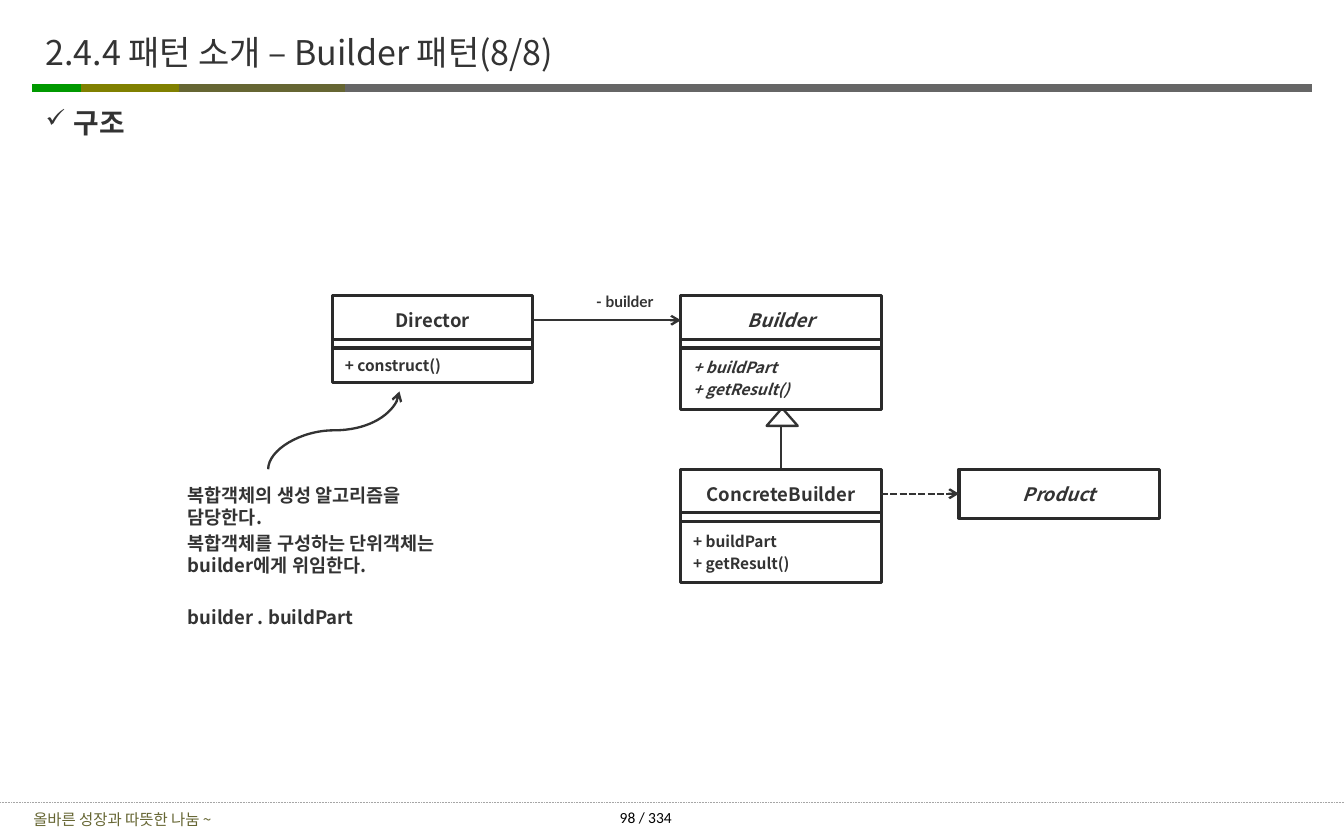
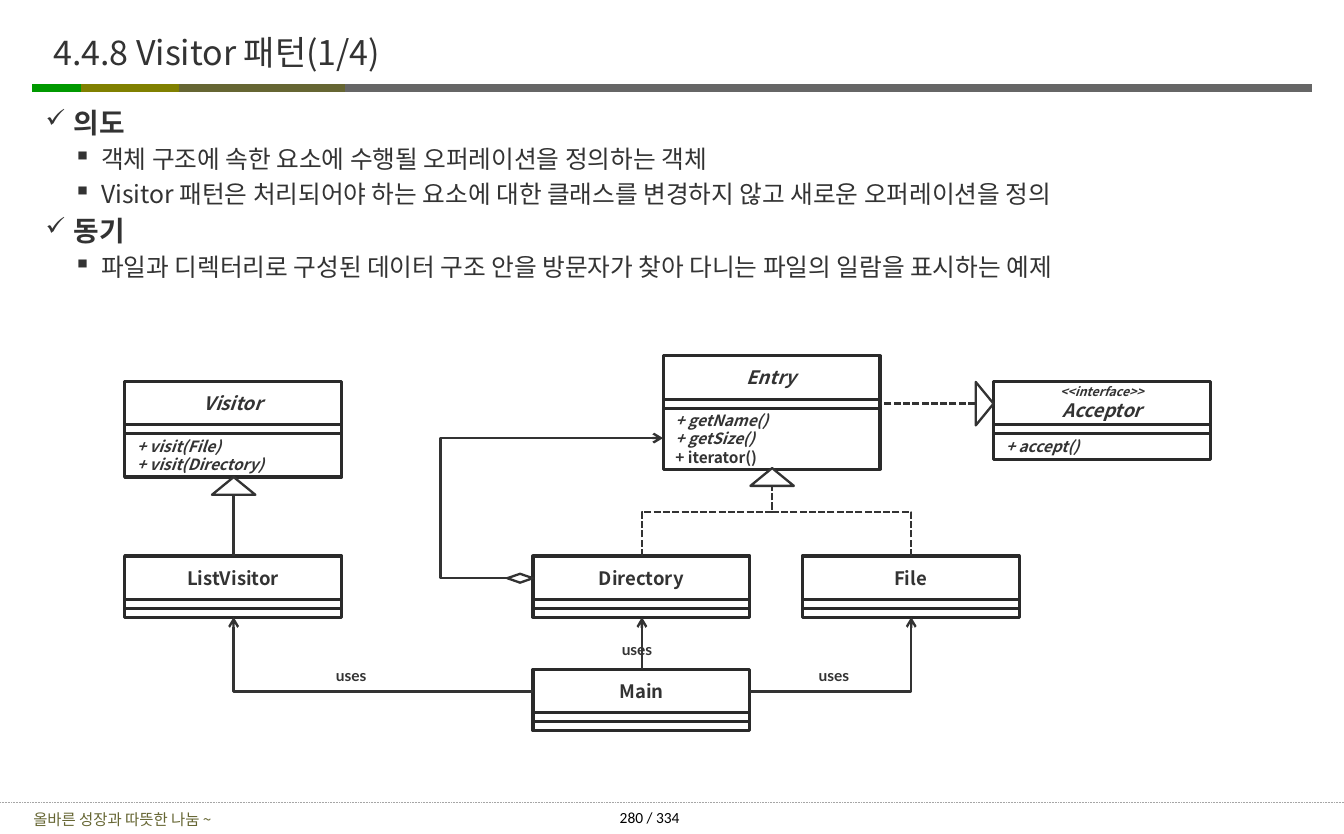
from lxml import etree
from pptx import Presentation
from pptx import util as u
from pptx.dml.color import RGBColor
from pptx.enum import dml, shapes, text
from pptx.oxml.ns import qn

WHITE = RGBColor(0xFF, 0xFF, 0xFF)
BLACK = RGBColor(0x00, 0x00, 0x00)
INK = RGBColor(0x33, 0x33, 0x33)
FRAME = RGBColor(0x2A, 0x2A, 0x2A)
GRAY = RGBColor(0x66, 0x66, 0x66)
LIGHT_GRAY = RGBColor(0xA6, 0xA6, 0xA6)
GREEN = RGBColor(0x00, 0x99, 0x00)
OLIVE = RGBColor(0x80, 0x80, 0x00)
MOSS = RGBColor(0x66, 0x66, 0x33)

KOREAN = "Noto Sans CJK KR"
BAND = [(2.98, 11.79, GRAY), (0.29, 1.09, GREEN), (0.73, 1.66, OLIVE), (1.61, 3.1, MOSS)]
PAGES = 334
LEFT, CENTER = text.PP_ALIGN.LEFT, text.PP_ALIGN.CENTER
TOP, MIDDLE = text.MSO_ANCHOR.TOP, text.MSO_ANCHOR.MIDDLE
STRAIGHT, ELBOW, CURVE = (
    shapes.MSO_CONNECTOR.STRAIGHT,
    shapes.MSO_CONNECTOR.ELBOW,
    shapes.MSO_CONNECTOR.CURVE,
)


def add_bullet(paragraph, mark, percent, level):
    properties = paragraph._p.get_or_add_pPr()
    properties.set("marL", str(u.Inches(0.25 * (level + 1))))
    properties.set("indent", str(u.Inches(-0.25)))
    color = etree.SubElement(properties, qn("a:buClr"))
    etree.SubElement(color, qn("a:srgbClr")).set("val", str(INK))
    etree.SubElement(properties, qn("a:buSzPct")).set("val", str(percent * 1000))
    etree.SubElement(properties, qn("a:buChar")).set("char", mark)


def add_paragraph(frame, content, first, size=12, font=KOREAN, color=INK, bold=False,
                  italic=False, align=LEFT, gap=0.2, bullet=None):
    paragraph = frame.paragraphs[0] if first else frame.add_paragraph()
    if bullet:
        add_bullet(paragraph, *bullet)
    paragraph.alignment = align
    paragraph.line_spacing = u.Pt(1.2 * size)
    paragraph.space_before = u.Pt(0 if first else gap * size)
    run = paragraph.add_run()
    run.text = content
    run.font.size = u.Pt(size)
    run.font.name = font
    run.font.bold = bold
    run.font.italic = italic
    run.font.color.rgb = color
    east_asian = etree.SubElement(run._r.get_or_add_rPr(), qn("a:ea"))
    east_asian.set("typeface", font)


def write(frame, lines, inset=(0.1, 0.05), anchor=TOP, wrap=True, **style):
    frame.word_wrap = wrap
    frame.vertical_anchor = anchor
    frame.margin_left = frame.margin_right = u.Inches(inset[0])
    frame.margin_top = frame.margin_bottom = u.Inches(inset[1])
    for index, line in enumerate(lines):
        content, changes = line if isinstance(line, tuple) else (line, {})
        add_paragraph(frame, content, index == 0, **{**style, **changes})


class Deck:
    def __init__(self):
        self.presentation = Presentation()
        self.presentation.slide_width = u.Inches(12.08)
        self.presentation.slide_height = u.Inches(7.5)
        self.slide = None

    def new_slide(self, title, page, title_inset):
        self.slide = self.presentation.slides.add_slide(self.presentation.slide_layouts[6])
        for start, end, color in BAND:
            self.line((start, 0.79), (end, 0.79), color=color, width=5)
        self.line((0, 7.22), (12.08, 7.22), color=LIGHT_GRAY, width=0.5,
                  dash=dml.MSO_LINE.ROUND_DOT)
        self.label(["올바른 성장과 따뜻한 나눔 ~"], 0, 7.24, 2.2, 0.26, size=10, color=MOSS,
                   align=CENTER, anchor=MIDDLE)
        self.label([f"{page} / {PAGES}"], 5.53, 7.22, 0.95, 0.27, size=10, font="Calibri",
                   color=BLACK, inset=(0.04, 0.05))
        self.label([title], 0.37, 0.15, 10, 0.63, size=22, anchor=MIDDLE, inset=title_inset)

    def label(self, lines, left, top, width, height, **style):
        box = self.slide.shapes.add_textbox(*map(u.Inches, (left, top, width, height)))
        write(box.text_frame, lines, **style)

    def outline(self, topics):
        lines = []
        for heading, items in topics:
            lines.append((heading, {"size": 18, "bold": True, "bullet": ("✓", 90, 0)}))
            lines += [(item, {"size": 16, "bullet": ("▪", 100, 1)}) for item in items]
        self.label(lines, 0.37, 0.91, 11.5, 1.23, inset=(0.04, 0.04))

    def shape(self, kind, left, top, width, height, color=INK, weight=1.5, rotation=0):
        shape = self.slide.shapes.add_shape(kind, *map(u.Inches, (left, top, width, height)))
        shape.shadow.inherit = False
        shape.fill.solid()
        shape.fill.fore_color.rgb = WHITE
        shape.line.color.rgb = color
        shape.line.width = u.Pt(weight)
        shape.rotation = rotation
        return shape

    def triangle(self, center, top, width=0.39, rotation=0):
        self.shape(shapes.MSO_SHAPE.ISOSCELES_TRIANGLE, center - width / 2, top, width, 0.16,
                   rotation=rotation)

    def cell(self, lines, left, top, width, height, **style):
        shape = self.shape(shapes.MSO_SHAPE.RECTANGLE, left, top, width, height, FRAME, 2)
        write(shape.text_frame, lines, inset=(0.11, 0.05), anchor=MIDDLE, wrap=False,
              bold=True, **style)

    def class_box(self, name, left, top, width=1.95, head=0.39, members=(),
                  members_height=0.08, italic=False, gap=0, sections=True):
        names = [name] if isinstance(name, str) else name
        self.cell(names, left, top, width, head, align=CENTER, italic=italic, gap=0)
        if sections:
            self.cell([], left, top + 0.39, width, 0.08)
            self.cell(members, left, top + 0.47, width, members_height, size=10,
                      italic=italic, gap=gap)

    def line(self, start, end, kind=STRAIGHT, color=INK, width=1.5, dash=None, head=False,
             tail=False, vertical=False, bend=None, corner=False):
        (x1, y1), (x2, y2) = start, end
        if vertical:
            middle_x, middle_y = (x1 + x2) / 2, (y1 + y2) / 2
            half_x, half_y = (x2 - x1) / 2, (y2 - y1) / 2
            x1, x2 = middle_x - half_y, middle_x + half_y
            y1, y2 = middle_y + half_x, middle_y - half_x
        connector = self.slide.shapes.add_connector(kind, *map(u.Inches, (x1, y1, x2, y2)))
        if vertical:
            connector.rotation = 90
        connector.line.color.rgb = color
        connector.line.width = u.Pt(width)
        if dash:
            connector.line.dash_style = dash
        properties = connector._element.spPr
        geometry = properties.find(qn("a:prstGeom"))
        if corner:
            geometry.set("prst", "bentConnector2")
        if bend is not None:
            guides = geometry.find(qn("a:avLst"))
            if guides is None:
                guides = etree.SubElement(geometry, qn("a:avLst"))
            guide = etree.SubElement(guides, qn("a:gd"))
            guide.set("name", "adj1")
            guide.set("fmla", f"val {round(bend * 100000)}")
        for wanted, tag in ((head, "a:headEnd"), (tail, "a:tailEnd")):
            if wanted:
                etree.SubElement(connector.line._get_or_add_ln(), qn(tag)).set("type", "arrow")
        etree.SubElement(properties, qn("a:effectLst"))


DASHED = dml.MSO_LINE.SQUARE_DOT


def build_builder_slide(deck):
    deck.new_slide("2.4.4 패턴 소개 – Builder 패턴(8/8)", 98, (0.04, 0.04))
    deck.outline([("구조", [])])
    box = {"width": 1.8, "head": 0.44, "gap": 0.2}
    parts = ["+ buildPart", "+ getResult()"]
    deck.class_box("Director", 2.99, 2.66, members=["+ construct()"], members_height=0.31, **box)
    deck.line((7.02, 4.22), (7.02, 3.67))
    deck.triangle(7.03, 3.67, width=0.28)
    deck.class_box("Builder", 6.12, 2.66, members=parts, members_height=0.55, italic=True, **box)
    deck.class_box("ConcreteBuilder", 6.12, 4.22, members=parts, members_height=0.55, **box)
    deck.class_box("Product", 8.62, 4.22, italic=True, sections=False, **box)
    deck.line((4.79, 2.88), (6.12, 2.88), tail=True)
    deck.line((7.92, 4.44), (8.62, 4.44), tail=True, dash=DASHED)
    deck.line((3.59, 3.52), (2.41, 4.22), kind=CURVE, vertical=True, head=True)
    deck.label(["- builder"], 5.26, 2.58, 0.8, 0.27, size=10, font="Lato", bold=True, wrap=False)
    deck.label(["복합객체의 생성 알고리즘을 담당한다.",
                "복합객체를 구성하는 단위객체는 builder에게 위임한다.",
                ("builder . buildPart", {"gap": 1.6})],
               1.59, 4.3, 2.66, 1.23, bold=True)


def build_visitor_slide(deck):
    deck.new_slide("4.4.8 Visitor 패턴(1/4)", 280, (0.11, 0.06))
    deck.outline([
        ("의도", ["객체 구조에 속한 요소에 수행될 오퍼레이션을 정의하는 객체",
                "Visitor 패턴은 처리되어야 하는 요소에 대한 클래스를 변경하지 않고 "
                "새로운 오퍼레이션을 정의"]),
        ("동기", ["파일과 디렉터리로 구성된 데이터 구조 안을 방문자가 찾아 다니는 "
                "파일의 일람을 표시하는 예제"]),
    ])
    deck.class_box("Visitor", 1.12, 3.43, members=["+ visit(File)", "+ visit(Directory)"],
                   members_height=0.39, italic=True)
    deck.class_box([("<<interface>>", {"size": 8}), "Acceptor"], 8.93, 3.43,
                   members=["+ accept()"], members_height=0.23, italic=True)
    deck.class_box("Entry", 5.96, 3.2, members_height=0.55, italic=True,
                   members=["+ getName()", "+ getSize()", ("+ iterator()", {"italic": False})])
    for name, left, top in (("ListVisitor", 1.12, 5), ("Directory", 4.79, 5),
                            ("File", 7.21, 5), ("Main", 4.79, 6.02)):
        deck.class_box(name, left, top)

    deck.line((2.1, 5), (2.1, 4.29))
    for child in (5.77, 8.19):
        deck.line((child, 5), (6.94, 4.21), kind=ELBOW, vertical=True, dash=DASHED)
    deck.line((8.93, 3.63), (7.92, 3.63), dash=DASHED)
    deck.line((4.79, 5.2), (5.96, 3.94), kind=ELBOW, bend=-0.71, tail=True)
    deck.triangle(2.1, 4.29)
    deck.triangle(6.94, 4.21)
    deck.triangle(8.85, 3.55, rotation=-90 + 180)
    deck.shape(shapes.MSO_SHAPE.FLOWCHART_DECISION, 4.56, 5.16, 0.23, 0.08)

    deck.line((4.79, 6.22), (2.1, 5.55), kind=ELBOW, corner=True, tail=True)
    deck.line((5.77, 6.02), (5.77, 5.55), tail=True)
    deck.line((6.74, 6.22), (8.19, 5.55), kind=ELBOW, corner=True, tail=True)
    for left, top in ((2.92, 5.94), (5.49, 5.71), (7.26, 5.94)):
        deck.label(["uses"], left, top, 0.52, 0.27, size=10, font="Lato", bold=True, wrap=False)


def main():
    deck = Deck()
    build_builder_slide(deck)
    build_visitor_slide(deck)
    deck.presentation.save("out.pptx")


if __name__ == "__main__":
    main()
